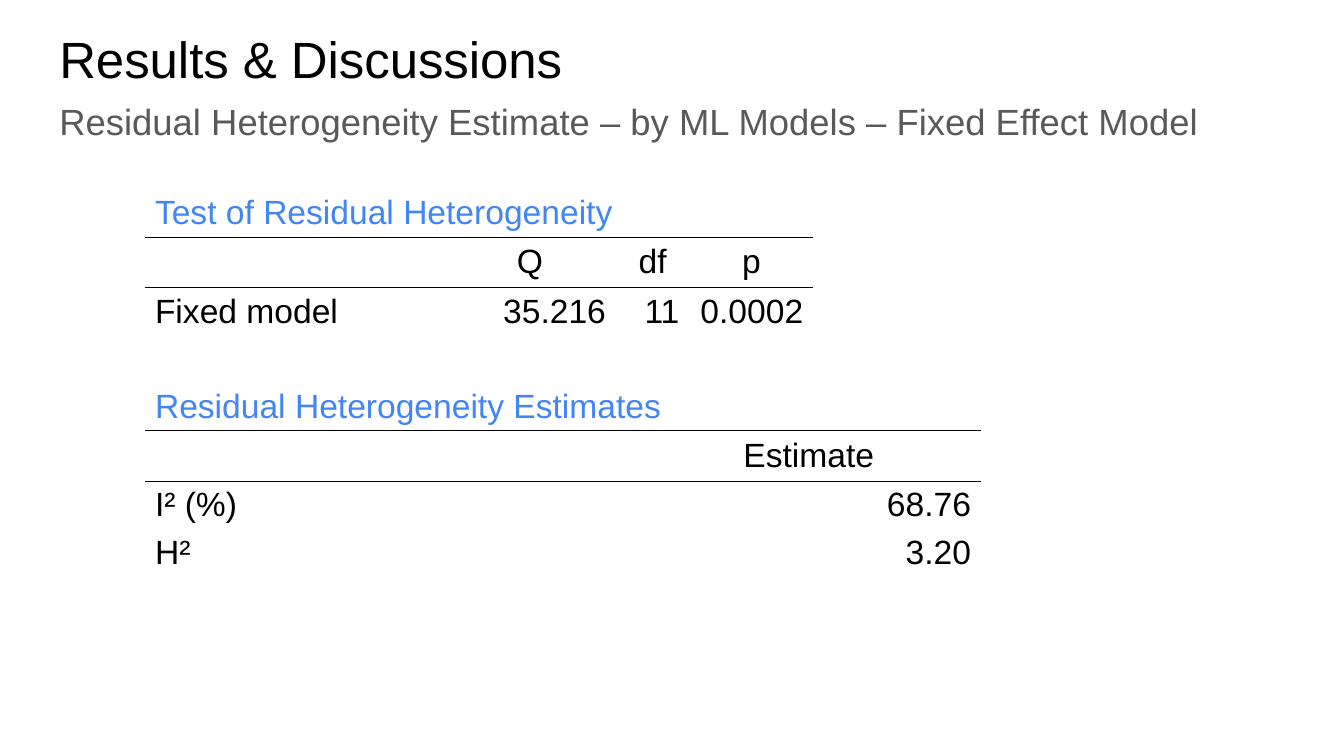
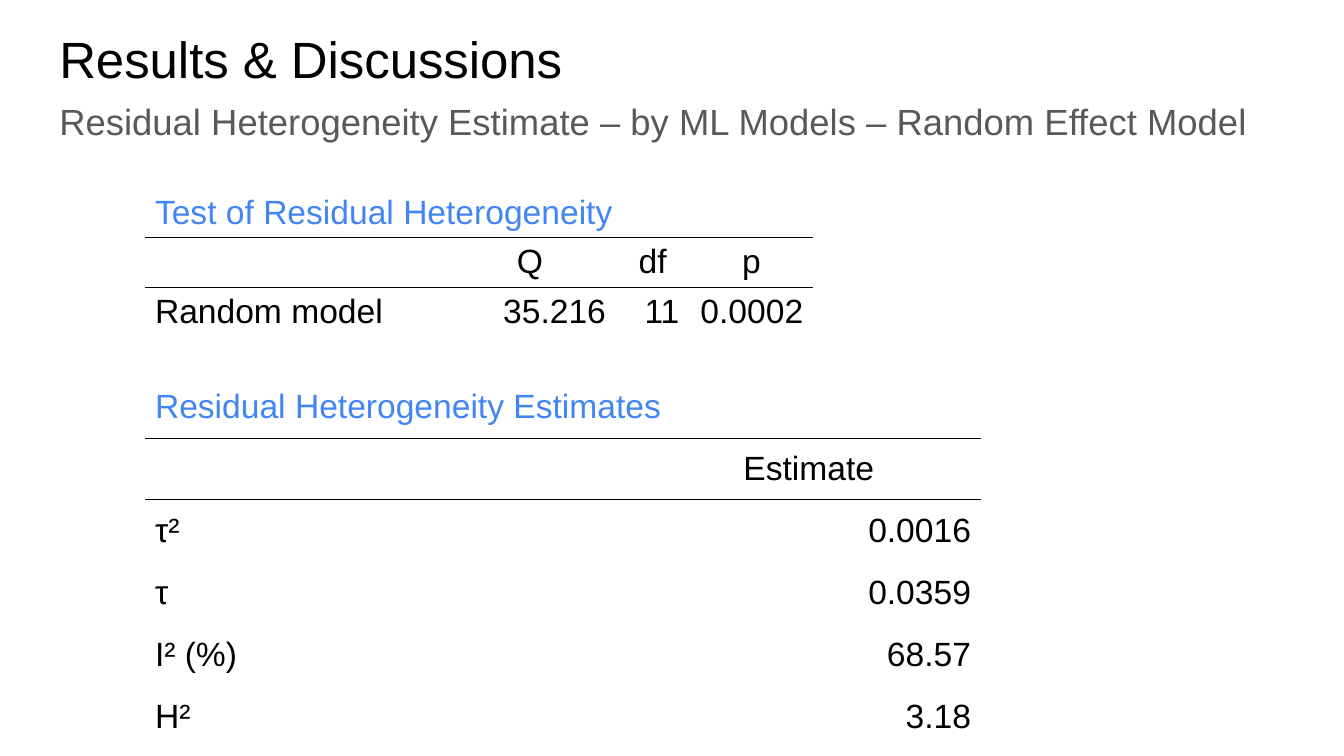
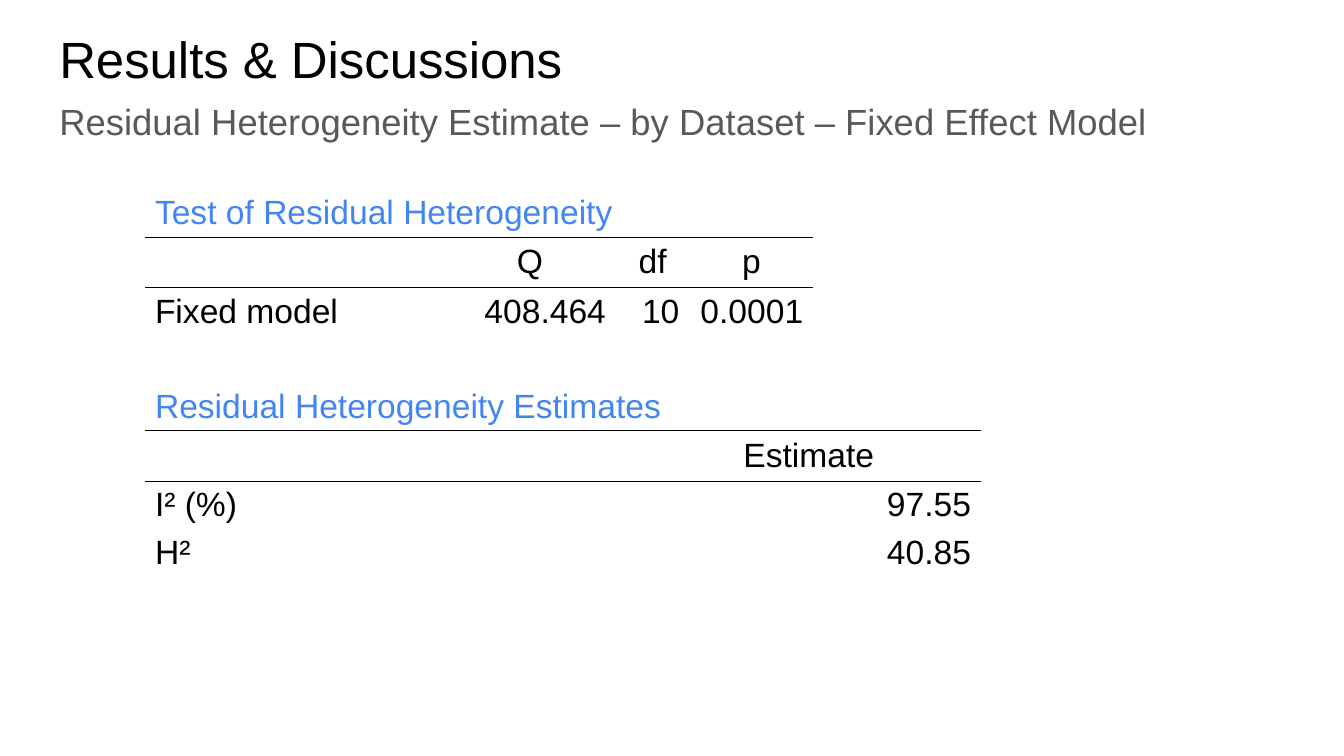
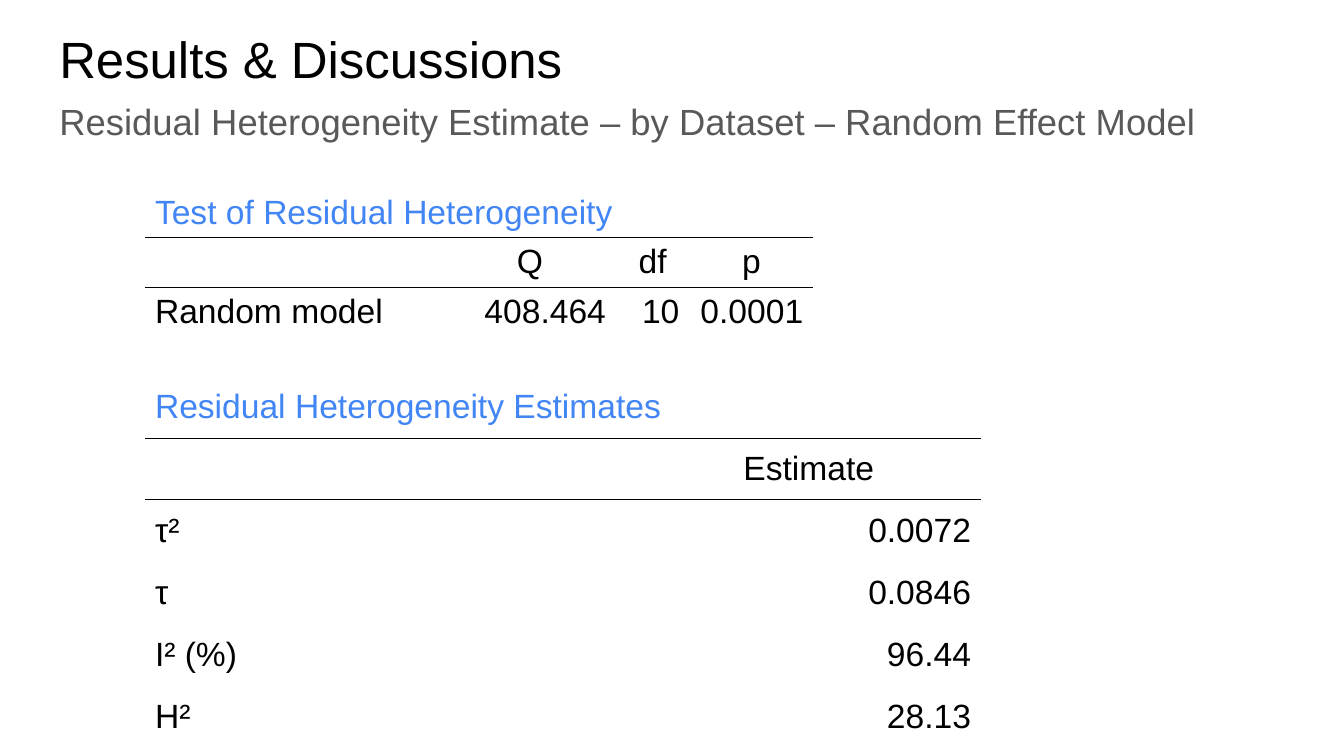
from lxml import etree
from pptx import Presentation
from pptx.dml.color import RGBColor
from pptx.enum.text import MSO_ANCHOR, MSO_AUTO_SIZE, PP_ALIGN
from pptx.oxml.ns import qn
from pptx.util import Cm, Pt

LEFT, CENTER, RIGHT = PP_ALIGN.LEFT, PP_ALIGN.CENTER, PP_ALIGN.RIGHT
TOP, MIDDLE = MSO_ANCHOR.TOP, MSO_ANCHOR.MIDDLE
NO_AUTOFIT = MSO_AUTO_SIZE.NONE

# Content
TITLE = "Results & Discussions"
SUBTITLE = "Residual Heterogeneity Estimate – by {} – {} Effect Model"
TEST_CAPTION = "Test of Residual Heterogeneity"
TEST_HEADER = ("", "Q", "df", "p")
ESTIMATES_CAPTION = "Residual Heterogeneity Estimates"
ESTIMATES_HEADER = ("", "Estimate")

ANALYSES = [
    {"grouping": "ML Models", "effect": "Fixed",
     "test": ("35.216", "11", "0.0002"),
     "estimates": [("I² (%)", "68.76"), ("H²", "3.20")]},
    {"grouping": "ML Models", "effect": "Random",
     "test": ("35.216", "11", "0.0002"),
     "estimates": [("τ²", "0.0016"), ("τ", "0.0359"), ("I² (%)", "68.57"), ("H²", "3.18")]},
    {"grouping": "Dataset", "effect": "Fixed",
     "test": ("408.464", "10", "0.0001"),
     "estimates": [("I² (%)", "97.55"), ("H²", "40.85")]},
    {"grouping": "Dataset", "effect": "Random",
     "test": ("408.464", "10", "0.0001"),
     "estimates": [("τ²", "0.0072"), ("τ", "0.0846"), ("I² (%)", "96.44"), ("H²", "28.13")]},
]

# Shared look
FONT = "Arial"
BLACK, GREY, BLUE = "000000", "595959", "4285F4"
NO_STYLE_NO_GRID = "{2D5ABB26-0587-4C30-8999-92F81FD0307C}"
RULE_WIDTH = Pt(0.6)

# Layout, in centimetres
SLIDE_SIZE = (25.4, 14.29)
HEADING_LEFT, HEADING_WIDTH, HEADING_HEIGHT = 0.87, 23.67, 1.6
TITLE_TOP, SUBTITLE_TOP = 0.4, 1.63
HEADING_INSET = 0.25
TABLE_LEFT, TEST_TOP = 2.74, 3.58
TEST_COLUMNS = (5.65, 3.25, 1.39, 2.34)
ESTIMATES_COLUMNS = (6.29, 9.51)
ESTIMATES_TOP = {"Fixed": 7.24, "Random": 7.11}
ESTIMATES_ROW = {"Fixed": 0.9, "Random": 1.17}
TEST_ROW = 0.9
CELL_INSET_X, CELL_INSET_Y = 0.19, 0.09
ESTIMATE_HEADER_SHIFT = 3


def rgb(hex_color):
    return RGBColor.from_string(hex_color)


def write(frame, text, size=18, color=BLACK, align=LEFT, line_spacing=1.0):
    paragraph = frame.paragraphs[0]
    paragraph.alignment = align
    paragraph.line_spacing = line_spacing
    paragraph.space_before = Pt(0)
    run = paragraph.add_run()
    run.text = text
    run.font.name = FONT
    run.font.size = Pt(size)
    run.font.bold = False
    run.font.color.rgb = rgb(color)
    return paragraph


def place_heading(placeholder, top, text, **text_format):
    placeholder.left, placeholder.top = Cm(HEADING_LEFT), Cm(top)
    placeholder.width, placeholder.height = Cm(HEADING_WIDTH), Cm(HEADING_HEIGHT)
    frame = placeholder.text_frame
    frame.word_wrap = True
    frame.auto_size = NO_AUTOFIT
    frame.vertical_anchor = TOP
    frame.margin_left = frame.margin_right = Cm(HEADING_INSET)
    frame.margin_top = frame.margin_bottom = Cm(HEADING_INSET)
    return write(frame, text, **text_format)


def remove_bullet(paragraph):
    properties = paragraph._p.get_or_add_pPr()
    properties.set("marL", "0")
    properties.set("indent", "0")
    etree.SubElement(properties, qn("a:buNone"))


def rule_below(cell):
    line = etree.Element(qn("a:lnB"), w=str(RULE_WIDTH))
    fill = etree.SubElement(line, qn("a:solidFill"))
    etree.SubElement(fill, qn("a:srgbClr"), val=BLACK)
    cell._tc.get_or_add_tcPr().insert(0, line)


def add_ruled_table(slide, top, columns, row_height, caption, header, body):
    """Add a table with a caption row and a header row, each with a rule below."""
    rows = [(caption,) + ("",) * (len(columns) - 1), header, *body]
    table = slide.shapes.add_table(
        len(rows), len(columns), Cm(TABLE_LEFT), Cm(top),
        Cm(sum(columns)), Cm(row_height * len(rows))).table
    table.first_row = table.horz_banding = False
    table._tbl.tblPr.find(qn("a:tableStyleId")).text = NO_STYLE_NO_GRID
    for column, width in zip(table.columns, columns):
        column.width = Cm(width)
    for r, row in enumerate(rows):
        table.rows[r].height = Cm(row_height)
        for c, text in enumerate(row):
            cell = table.cell(r, c)
            cell.fill.background()
            cell.vertical_anchor = MIDDLE
            cell.margin_left = cell.margin_right = Cm(CELL_INSET_X)
            cell.margin_top = cell.margin_bottom = Cm(CELL_INSET_Y)
            if text:
                align = LEFT if c == 0 else CENTER if r == 1 else RIGHT
                write(cell.text_frame, text, color=BLUE if r == 0 else BLACK, align=align)
            if r < 2:
                rule_below(cell)
    table.cell(0, 0).merge(table.cell(0, len(columns) - 1))
    return table


def add_analysis_slide(presentation, analysis):
    effect = analysis["effect"]
    slide = presentation.slides.add_slide(presentation.slide_layouts[1])
    place_heading(slide.shapes.title, TITLE_TOP, TITLE, size=27.3, line_spacing=0.9)
    subtitle = place_heading(
        slide.placeholders[1], SUBTITLE_TOP,
        SUBTITLE.format(analysis["grouping"], effect), size=19.5, color=GREY)
    remove_bullet(subtitle)
    add_ruled_table(slide, TEST_TOP, TEST_COLUMNS, TEST_ROW, TEST_CAPTION,
                    TEST_HEADER, [(f"{effect} model", *analysis["test"])])
    estimates = add_ruled_table(
        slide, ESTIMATES_TOP[effect], ESTIMATES_COLUMNS, ESTIMATES_ROW[effect],
        ESTIMATES_CAPTION, ESTIMATES_HEADER, analysis["estimates"])
    estimates.cell(1, 1).margin_left = Cm(CELL_INSET_X + ESTIMATE_HEADER_SHIFT)


def main():
    presentation = Presentation()
    presentation.slide_width, presentation.slide_height = map(Cm, SLIDE_SIZE)
    for analysis in ANALYSES:
        add_analysis_slide(presentation, analysis)
    presentation.save("out.pptx")


if __name__ == "__main__":
    main()
